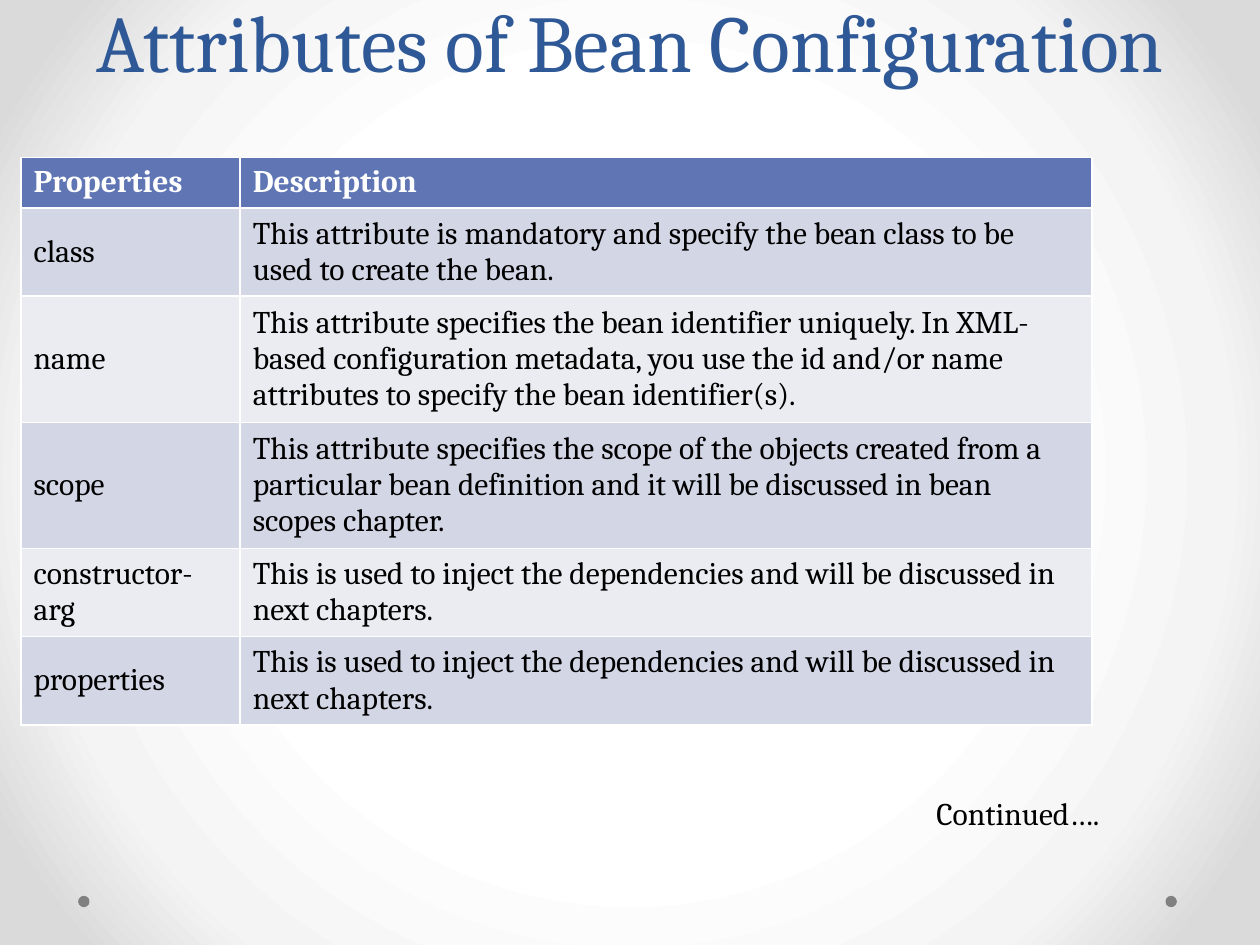
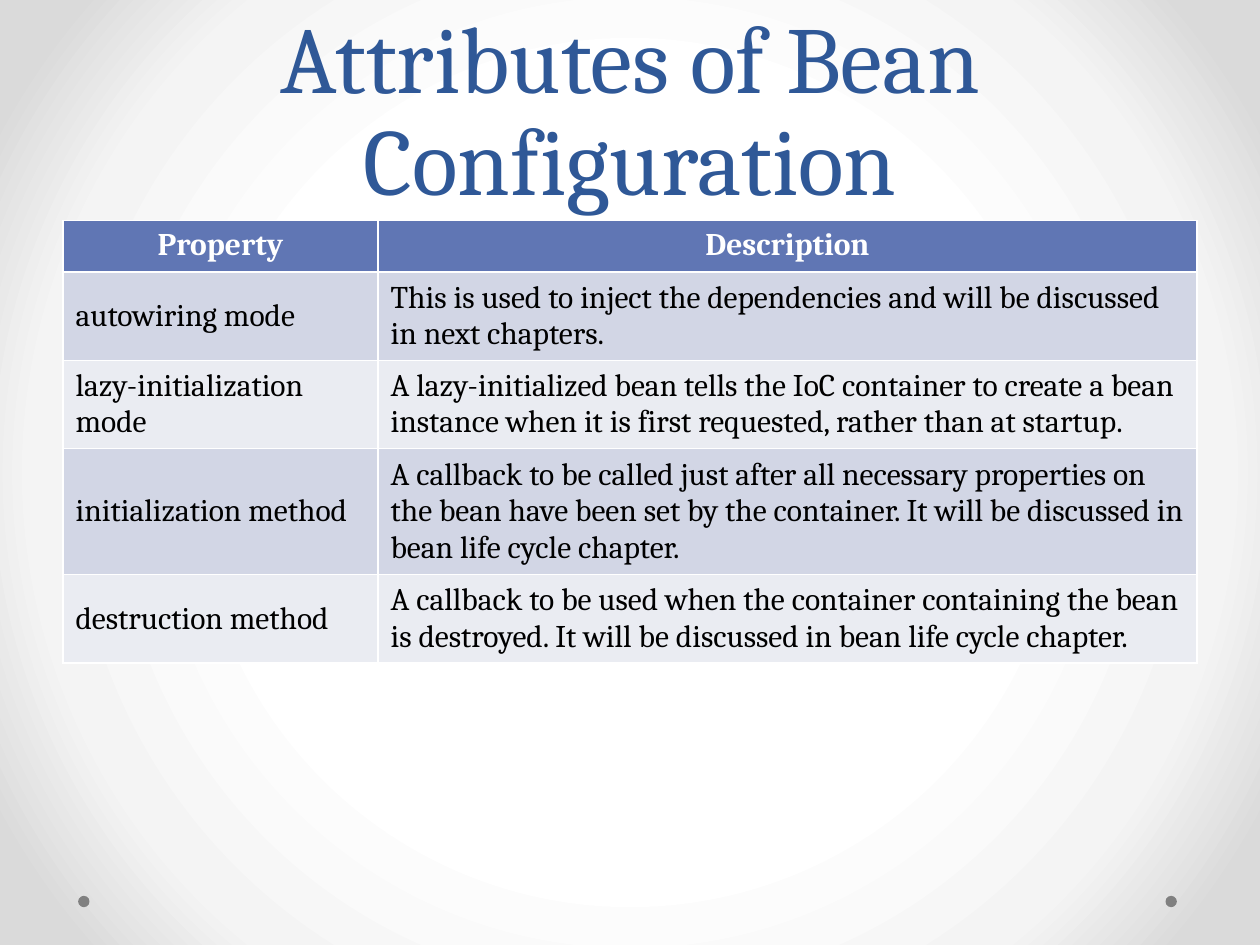
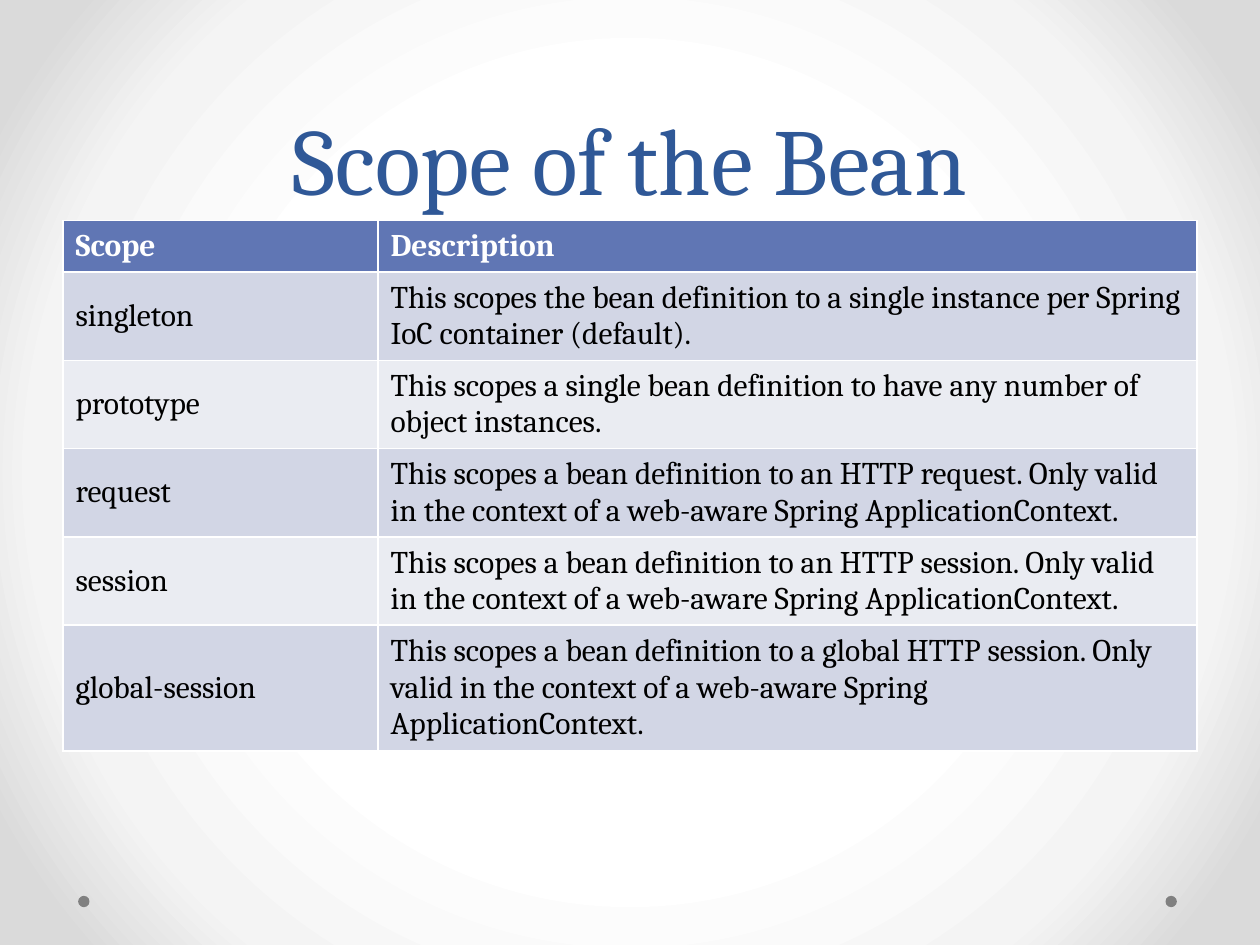
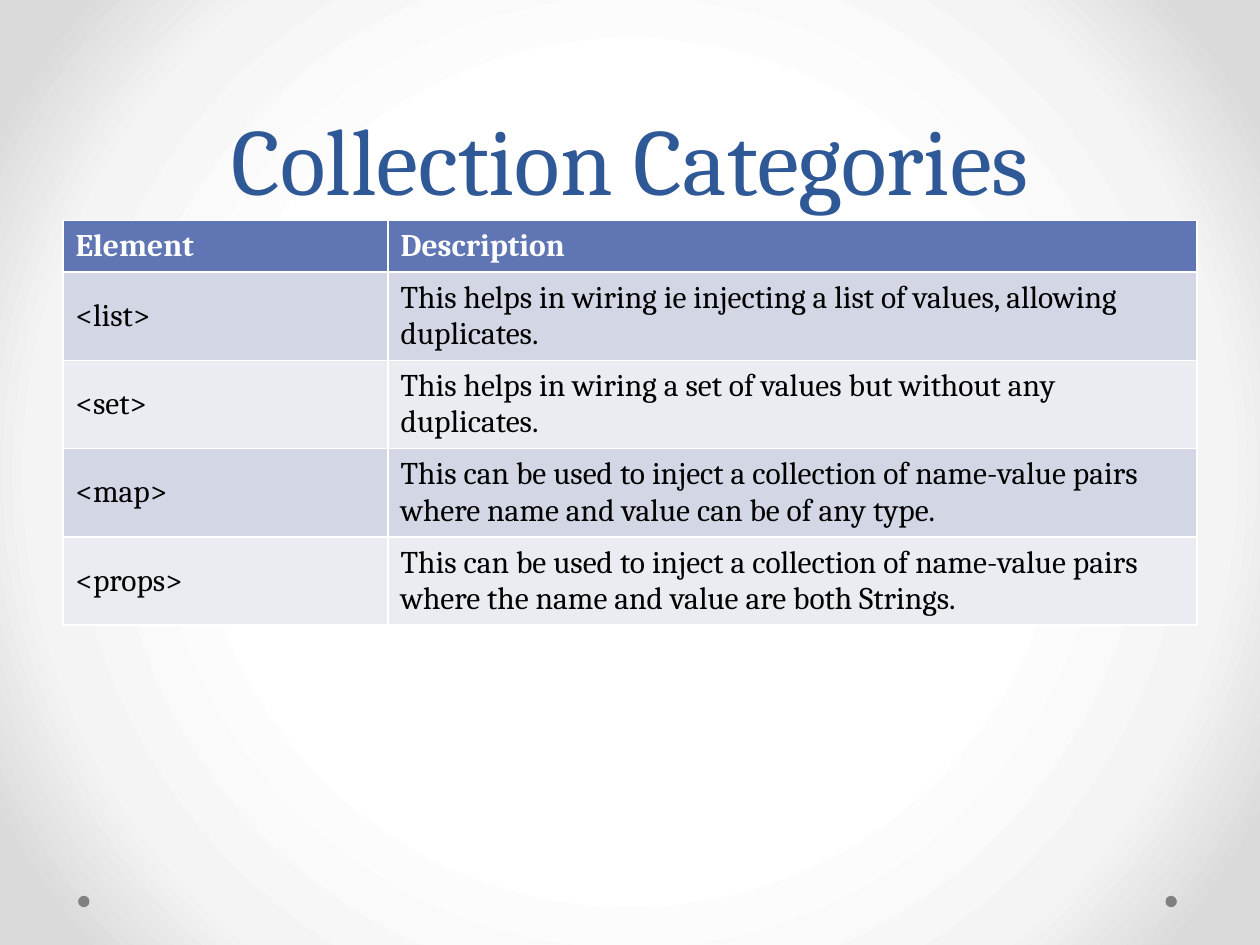
from pptx import Presentation
from pptx import oxml
from pptx import util as u
from pptx.dml import color
from pptx.enum import shapes, text
from pptx.oxml import ns

COLORS = {
    "title": "2F5897",
    "header": "6076B4",
    "band_dark": "D2D6E5",
    "band_light": "EAECF2",
    "white": "FFFFFF",
    "black": "000000",
    "dot": "808080",
}
BACKGROUND_STOPS = [(50, "FFFFFF"), (76, "F4F4F4"), (92, "DADADA")]
FONT = "Cambria"


def rgb(name):
    return color.RGBColor.from_string(COLORS[name])


class Deck:
    def __init__(self):
        self.presentation = Presentation()
        self.presentation.slide_width = u.Pt(720)
        self.presentation.slide_height = u.Pt(540)
        self.slide = None
        self.set_background()

    def set_background(self):
        master = self.presentation.slide_master
        master.background.fill.solid()
        properties = master.element.find(".//" + ns.qn("p:bgPr"))
        stops = "".join(
            f'<a:gs pos="{position * 1000}"><a:srgbClr val="{value}"/></a:gs>'
            for position, value in BACKGROUND_STOPS
        )
        gradient = oxml.parse_xml(
            f'<a:gradFill {ns.nsdecls("a")} rotWithShape="1"><a:gsLst>{stops}</a:gsLst>'
            '<a:path path="circle"><a:fillToRect l="50000" t="50000" r="50000" b="50000"/>'
            "</a:path></a:gradFill>"
        )
        properties.replace(properties[0], gradient)

    def add_slide(self, title, title_height=126, title_size=54):
        self.slide = self.presentation.slides.add_slide(self.presentation.slide_layouts[6])
        for left in (666, 44.64):
            self.dot(left, 511.92, 6.48)
        self.title(title, title_height, title_size)

    def style(self, paragraph, size, color_name, bold=False):
        for run in paragraph.runs:
            run.font.name = FONT
            run.font.size = u.Pt(size)
            run.font.bold = bold
            run.font.color.rgb = rgb(color_name)

    def dot(self, left, top, size):
        shape = self.slide.shapes.add_shape(
            shapes.MSO_SHAPE.OVAL, u.Pt(left), u.Pt(top), u.Pt(size), u.Pt(size)
        )
        shape.shadow.inherit = False
        shape.fill.solid()
        shape.fill.fore_color.rgb = rgb("dot")
        shape.line.fill.background()

    def text_box(self, content, left, top, width, height, size, color_name):
        shape = self.slide.shapes.add_textbox(u.Pt(left), u.Pt(top), u.Pt(width), u.Pt(height))
        shape.text_frame.word_wrap = True
        shape.text_frame.text = content
        self.style(shape.text_frame.paragraphs[0], size, color_name)
        return shape

    def title(self, content, height, size):
        shape = self.text_box(content, 36, 0, 648, height, size, "title")
        shape.text_frame.margin_top = u.Pt(0)
        shape.text_frame.vertical_anchor = text.MSO_ANCHOR.BOTTOM
        paragraph = shape.text_frame.paragraphs[0]
        paragraph.alignment = text.PP_ALIGN.CENTER
        paragraph.line_spacing = u.Pt(size + 4)

    def table(self, rows, column_widths, height, left=36, top=126,
              header_height=29.52, header_centered=False):
        shape = self.slide.shapes.add_table(
            len(rows), len(column_widths), u.Pt(left), u.Pt(top),
            u.Pt(sum(column_widths)), u.Pt(height),
        )
        table = shape.table
        for column, width in zip(table.columns, column_widths):
            column.width = u.Pt(width)
        for row_index, row in enumerate(rows):
            table.rows[row_index].height = u.Pt(29.52 if row_index else header_height)
            for column_index, content in enumerate(row):
                self.cell(table.cell(row_index, column_index), content, row_index, header_centered)
        shape.height = u.Pt(height)

    def cell(self, cell, content, row_index, header_centered):
        is_header = row_index == 0
        band = "band_dark" if row_index % 2 else "band_light"
        cell.fill.solid()
        cell.fill.fore_color.rgb = rgb("header" if is_header else band)
        cell.vertical_anchor = text.MSO_ANCHOR.MIDDLE
        cell.text_frame.text = content
        paragraph = cell.text_frame.paragraphs[0]
        self.style(paragraph, 18, "white" if is_header else "black", is_header)
        if is_header and header_centered:
            cell.vertical_anchor = text.MSO_ANCHOR.TOP
            paragraph.alignment = text.PP_ALIGN.CENTER


def main():
    deck = Deck()
    attributes_title = "Attributes of Bean Configuration"
    injection = "This is used to inject the dependencies and will be discussed in next chapters."

    deck.add_slide(attributes_title, title_height=54, title_size=46)
    deck.table([
        ("Properties", "Description"),
        ("class", "This attribute is mandatory and specify the bean class to be used to create the bean."),
        ("name", "This attribute specifies the bean identifier uniquely. In XML-based configuration "
                 "metadata, you use the id and/or name attributes to specify the bean identifier(s)."),
        ("scope", "This attribute specifies the scope of the objects created from a particular bean "
                  "definition and it will be discussed in bean scopes chapter."),
        ("constructor-arg", injection),
        ("properties", injection),
    ], (125.28, 486.72), 324, left=12, top=90, header_height=11.52)
    deck.text_box("Continued….", 528, 450, 150, 29, 18, "black")

    deck.add_slide(attributes_title)
    deck.table([
        ("Property", "Description"),
        ("autowiring mode", injection),
        ("lazy-initialization mode", "A lazy-initialized bean tells the IoC container to create a bean "
                                     "instance when it is first requested, rather than at startup."),
        ("initialization method", "A callback to be called just after all necessary properties on the bean "
                                  "have been set by the container. It will be discussed in bean life cycle "
                                  "chapter."),
        ("destruction method", "A callback to be used when the container containing the bean is destroyed. "
                               "It will be discussed in bean life cycle chapter."),
    ], (180, 468), 296, header_centered=True)

    deck.add_slide("Scope of the Bean")
    web_scope = ("This scopes a bean definition to {}. Only valid in the context of "
                 "a web-aware Spring ApplicationContext.")
    deck.table([
        ("Scope", "Description"),
        ("singleton", "This scopes the bean definition to a single instance per Spring IoC container "
                      "(default)."),
        ("prototype", "This scopes a single bean definition to have any number of object instances."),
        ("request", web_scope.format("an HTTP request")),
        ("session", web_scope.format("an HTTP session")),
        ("global-session", web_scope.format("a global HTTP session")),
    ], (180, 468), 346)

    deck.add_slide("Collection Categories")
    pairs = "This can be used to inject a collection of name-value pairs where "
    deck.table([
        ("Element", "Description"),
        ("<list>", "This helps in wiring ie injecting a list of values, allowing duplicates."),
        ("<set>", "This helps in wiring a set of values but without any duplicates."),
        ("<map>", pairs + "name and value can be of any type."),
        ("<props>", pairs + "the name and value are both Strings."),
    ], (185.76, 462.24), 231)

    deck.presentation.save("out.pptx")


if __name__ == "__main__":
    main()
